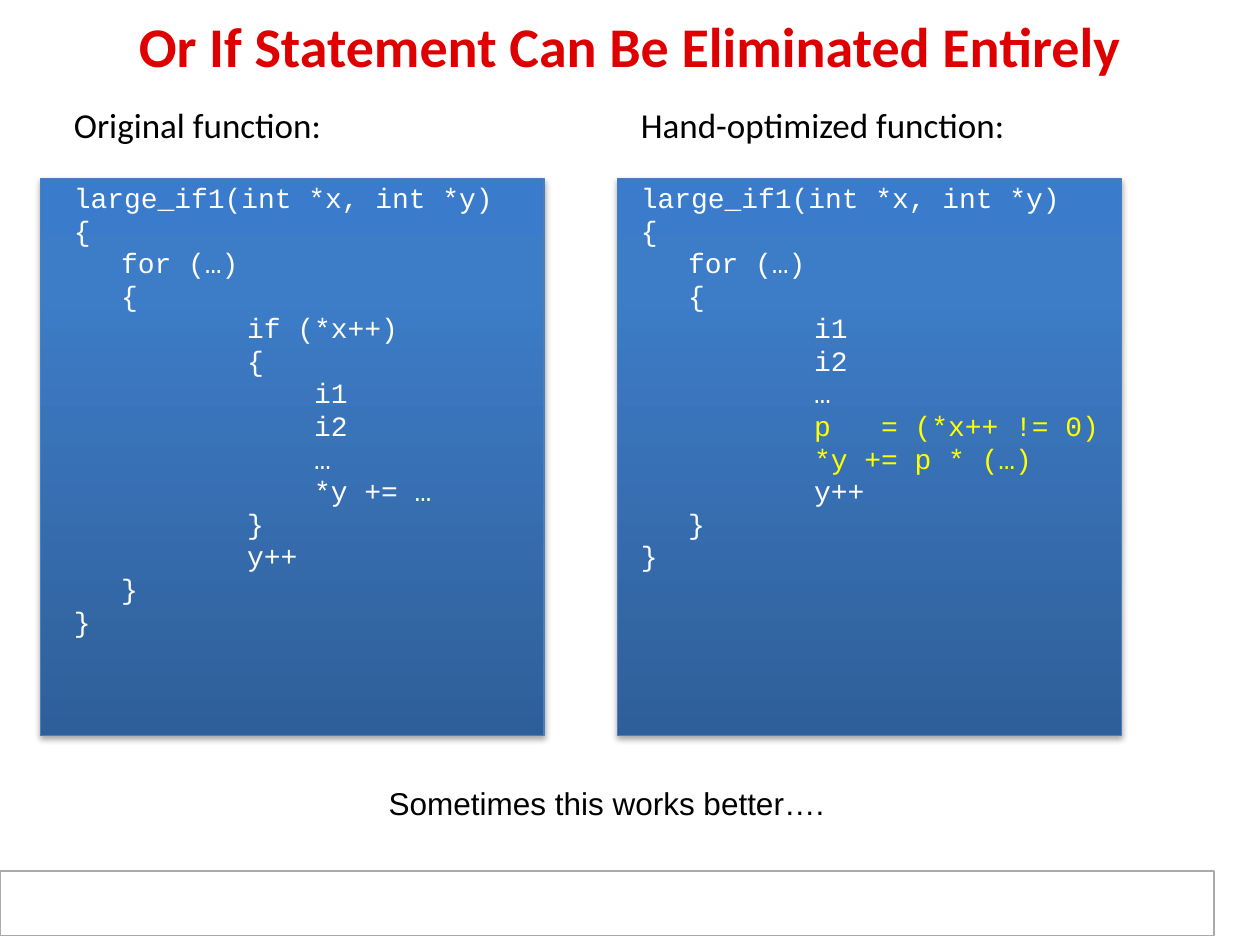
import pptx
import pptx.dml.color
import pptx.enum.shapes
import pptx.enum.text
import pptx.oxml
import pptx.oxml.ns
import pptx.util

Pt = pptx.util.Pt
TITLE = "Or If Statement Can Be Eliminated Entirely"
REMARK = "Sometimes this works better…."
WHITE, BLACK, RED, YELLOW = "FFFFFF", "000000", "DE0000", "FFFF00"
PANEL_LINE, BAR_LINE = "4B7EBC", "AAAAAA"
PANEL_STOPS = [(0, "2F5F99"), (80, "3D7CC7"), (100, "3A7CCB")]
HIGHLIGHTED = {"\t\tp   = (*x++ != 0)", "\t\t*y += p * (…)"}

# heading, panel left, text left, code lines
COLUMNS = [
    ("Original function:", 23, 35, [
        "large_if1(int *x, int *y)",
        "{",
        "\tfor (…)",
        "\t{",
        "\t\tif (*x++)",
        "\t\t{",
        "\t\t    i1",
        "\t\t    i2",
        "\t\t    …",
        "\t\t    *y += …",
        "\t\t}",
        "\t\ty++",
        "\t}",
        "}",
    ]),
    ("Hand-optimized function:", 352.8, 359, [
        "large_if1(int *x, int *y)",
        "{",
        "\tfor (…)",
        "\t{",
        "\t\ti1",
        "\t\ti2",
        "\t\t…",
        "\t\tp   = (*x++ != 0)",
        "\t\t*y += p * (…)",
        "\t\ty++",
        "\t}",
        "}",
    ]),
]


def rgb(code):
    return pptx.dml.color.RGBColor.from_string(code)


def xml(text):
    return pptx.oxml.parse_xml(text.replace(">", f" {pptx.oxml.ns.nsdecls('a')}>", 1))


def place(shape, left, top, width, height):
    shape.left, shape.top = Pt(left), Pt(top)
    shape.width, shape.height = Pt(width), Pt(height)


def add_span(para, text, size, font, color, bold=False):
    span = para.add_run()
    span.text = text
    span.font.size, span.font.name, span.font.bold = Pt(size), font, bold
    span.font.color.rgb = rgb(color)


def add_rectangle(page, left, top, width, height, line):
    box = page.shapes.add_shape(pptx.enum.shapes.MSO_SHAPE.RECTANGLE,
                                Pt(left), Pt(top), Pt(width), Pt(height))
    box.shadow.inherit = False
    box.fill.solid()
    box.fill.fore_color.rgb = rgb(WHITE)
    box.line.color.rgb = rgb(line)
    box.line.width = Pt(0.75)
    return box


def add_panel(page, left):
    """Add a code panel with a three-stop gradient and a soft shadow."""
    panel = add_rectangle(page, left, 102.2, 288, 318.2, PANEL_LINE)
    stops = "".join(f'<a:gs pos="{position * 1000}"><a:srgbClr val="{color}"/></a:gs>'
                    for position, color in PANEL_STOPS)
    properties = panel.element.spPr
    solid = properties.find(pptx.oxml.ns.qn("a:solidFill"))
    properties.replace(solid, xml(
        f'<a:gradFill rotWithShape="1"><a:gsLst>{stops}</a:gsLst>'
        '<a:lin ang="16200000" scaled="0"/></a:gradFill>'))
    effects = properties.find(pptx.oxml.ns.qn("a:effectLst"))
    effects.append(xml(
        f'<a:outerShdw blurRad="{Pt(3.1)}" dist="{Pt(1.8)}" dir="5400000" rotWithShape="0">'
        f'<a:srgbClr val="{BLACK}"><a:alpha val="35000"/></a:srgbClr></a:outerShdw>'))


def start_para(frame, first, space_before):
    """Return a bulletless paragraph with a hanging indent and wide tabs."""
    para = frame.paragraphs[0] if first else frame.add_paragraph()
    properties = para._p.get_or_add_pPr()
    properties.set("marL", str(Pt(27)))
    properties.set("indent", str(Pt(-27)))
    properties.set("defTabSz", str(Pt(72)))
    properties.append(xml("<a:buNone></a:buNone>"))
    para.line_spacing = 0.8
    para.space_before = Pt(space_before)
    return para


def fill_column(holder, left, heading, code):
    place(holder, left, 60, 318.2, 356.4)
    frame = holder.text_frame
    frame.word_wrap = True
    frame.auto_size = pptx.enum.text.MSO_AUTO_SIZE.NONE
    add_span(start_para(frame, True, 0), heading, 20, "Calibri", BLACK)
    for number, line in enumerate(code):
        para = start_para(frame, False, 3.25 if number else 24)
        color = YELLOW if line in HIGHLIGHTED else WHITE
        add_span(para, line, 16, "Courier New", color)


def main():
    deck = pptx.Presentation()
    deck.slide_width, deck.slide_height = Pt(720), Pt(540)
    page = deck.slides.add_slide(deck.slide_layouts.get_by_name("Two Content"))
    title, *bodies = page.placeholders

    add_rectangle(page, 0, 497.7, 693.8, 36.9, BAR_LINE)
    for body, (heading, panel_left, text_left, code) in zip(bodies, COLUMNS):
        add_panel(page, panel_left)
        fill_column(body, text_left, heading, code)

    place(title, 0, 0, 720, 51.1)
    title.text_frame.auto_size = pptx.enum.text.MSO_AUTO_SIZE.NONE
    title.text_frame.vertical_anchor = pptx.enum.text.MSO_ANCHOR.MIDDLE
    para = title.text_frame.paragraphs[0]
    para.alignment = pptx.enum.text.PP_ALIGN.CENTER
    add_span(para, TITLE, 32, "Calibri", RED, bold=True)

    # Text goes in front of the panels.
    for holder in [title, *bodies]:
        holder.element.getparent().append(holder.element)

    remark = page.shapes.add_textbox(Pt(215), Pt(444.6), Pt(263.5), Pt(28.8))
    remark.text_frame.word_wrap = False
    remark.text_frame.auto_size = pptx.enum.text.MSO_AUTO_SIZE.SHAPE_TO_FIT_TEXT
    add_span(remark.text_frame.paragraphs[0], REMARK, 18, "Arial", BLACK)
    deck.save("out.pptx")


if __name__ == "__main__":
    main()
